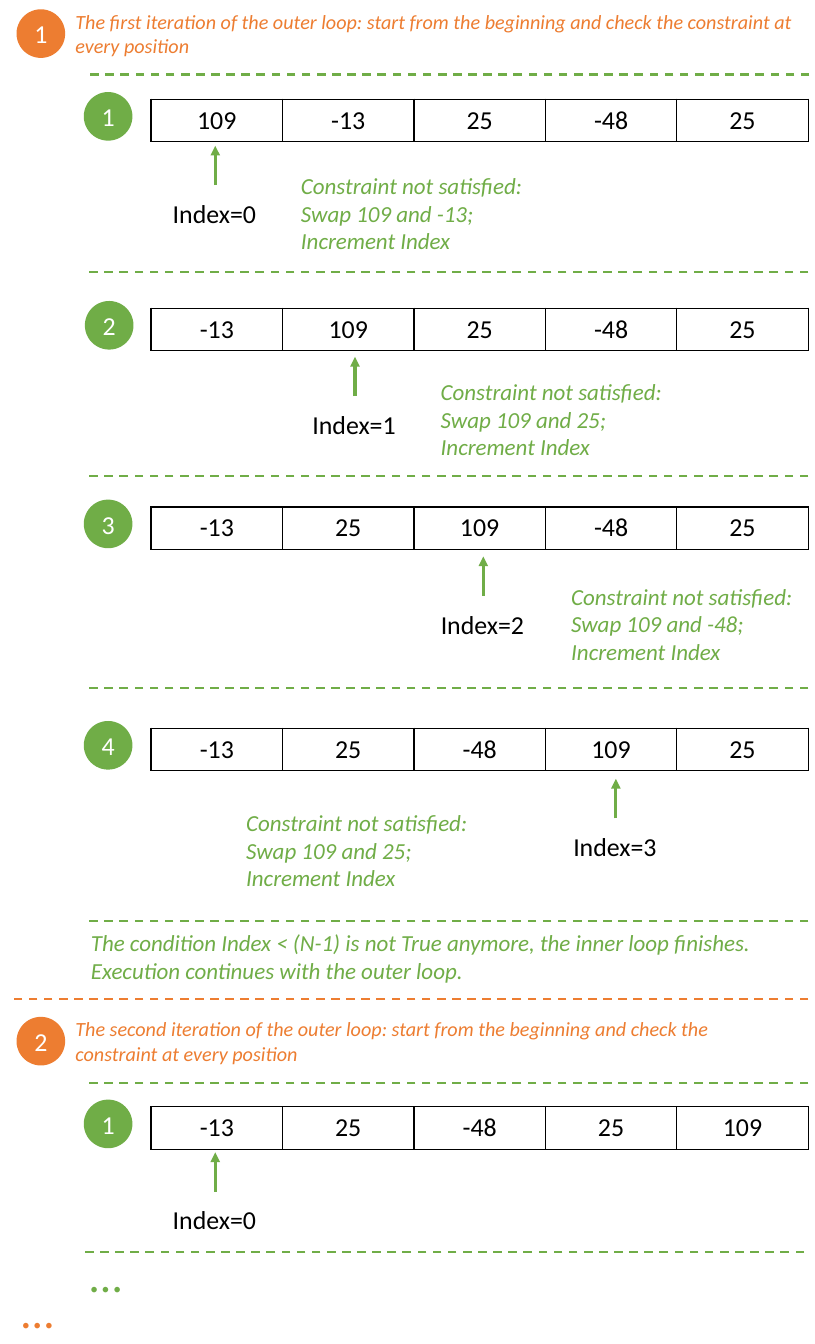
from pptx import Presentation
from pptx.dml.color import RGBColor
from pptx.enum.dml import MSO_LINE
from pptx.enum.shapes import MSO_CONNECTOR, MSO_SHAPE
from pptx.enum.text import MSO_ANCHOR, PP_ALIGN
from pptx.oxml import parse_xml
from pptx.oxml.ns import nsdecls, qn
from pptx.util import Inches, Pt

GREEN = RGBColor(0x70, 0xAD, 0x47)
ORANGE = RGBColor(0xED, 0x7D, 0x31)
BLACK = RGBColor(0, 0, 0)
WHITE = RGBColor(255, 255, 255)
DASH = MSO_LINE.DASH
STRAIGHT = MSO_CONNECTOR.STRAIGHT
OVAL = MSO_SHAPE.OVAL
MIDDLE = MSO_ANCHOR.MIDDLE
CENTER = PP_ALIGN.CENTER
FONT = "Calibri"

deck = Presentation()
deck.slide_width = Inches(20 / 2.54)
deck.slide_height = Inches(33 / 2.54)
slide = deck.slides.add_slide(deck.slide_layouts[6])
shapes = slide.shapes


def write(frame, text, size, color, italic=False, align=None):
    frame.text = text
    for para in frame.paragraphs:
        para.alignment = align
        for run in para.runs:
            font = run.font
            font.name, font.size, font.italic = FONT, Pt(size), italic
            font.color.rgb = color


def rule(x1, y1, x2, y2, color, width):
    line = shapes.add_connector(STRAIGHT, Inches(x1), Inches(y1), Inches(x2), Inches(y2))
    line.line.color.rgb = color
    line.line.width = Pt(width)
    line._element.spPr.append(parse_xml(f"<a:effectLst {nsdecls('a')}/>"))
    return line


swap = "Constraint not satisfied:\nSwap 109 and {};\nIncrement Index"
steps = [
    (0.96, 0.81, "1", [109, -13, 25, -48, 25], 0, 2.08, 1.41),
    (2.98, 0.82, "2", [-13, 109, 25, -48, 25], 1, 3.43, 3.45),
    (4.9, 0.81, "3", [-13, 25, 109, -48, 25], 2, 4.67, 5.38),
    (7.04, 0.81, "4", [-13, 25, -48, 109, 25], 3, 5.95, 7.53),
    (10.7, 0.81, "1", [-13, 25, -48, 25, 109], 0, 2.08, 11.14),
]
badges = [(0.16, 0.09, "1", ORANGE), (0.16, 9.83, "2", ORANGE)]
texts = [
    (0.63, 0.04, 7.18, 0.57, "The first iteration of the outer loop: start from the "
     "beginning and check the constraint at every position", 14, ORANGE, True),
    (0.63, 9.78, 7.09, 0.57, "The second iteration of the outer loop: start from the "
     "beginning and check the constraint at every position", 14, ORANGE, True),
    (2.81, 1.61, 2.37, 0.91, swap.format(-13), 16, GREEN, True),
    (4.16, 3.6, 3.87, 0.91, swap.format(25), 16, GREEN, True),
    (5.42, 5.58, 2.39, 0.91, swap.format(-48), 16, GREEN, True),
    (2.28, 7.77, 2.39, 0.91, swap.format(25), 16, GREEN, True),
    (0.78, 8.93, 6.76, 0.64, "The condition Index < (N-1) is not True anymore, the inner "
     "loop finishes.\nExecution continues with the outer loop.", 16, GREEN, True),
    (0.77, 12, 0.51, 0.64, "…", 32, GREEN, False),
    (0.11, 12.35, 0.51, 0.64, "…", 32, ORANGE, False),
]

for top, left, number, values, index, x, tip in steps:
    grid = shapes.add_table(1, 5, Inches(1.46), Inches(top), Inches(6.35), Inches(0.41))
    table = grid.table
    table.first_row = False
    table.horz_banding = False
    for cell, value in zip(table.rows[0].cells, values):
        write(cell.text_frame, str(value), 18, BLACK, align=CENTER)
        cell.vertical_anchor = MIDDLE
        props = cell._tc.get_or_add_tcPr()
        for side in ("lnL", "lnR", "lnT", "lnB"):
            props.append(parse_xml(
                f'<a:{side} {nsdecls("a")} w="12700"><a:solidFill>'
                f'<a:srgbClr val="{BLACK}"/></a:solidFill></a:{side}>'))
        cell.fill.background()
    arrow = rule(x, tip + 0.38, x, tip, GREEN, 2.25)
    stroke = arrow.line._get_or_add_ln()
    stroke.append(stroke.makeelement(qn("a:tailEnd"), {"type": "triangle"}))
    badges.append((left, top - 0.07, number, GREEN))
    texts.append((x - 0.51, tip + 0.45, 1.02, 0.4, f"Index={index}", 18, BLACK, False))

for left, top, number, color in badges:
    badge = shapes.add_shape(OVAL, Inches(left), Inches(top), Inches(0.47), Inches(0.47))
    badge.shadow.inherit = False
    badge.fill.solid()
    badge.fill.fore_color.rgb = color
    badge.line.fill.background()
    badge.text_frame.vertical_anchor = MIDDLE
    write(badge.text_frame, number, 18, WHITE, align=CENTER)

for left, top, width, height, text, size, color, italic in texts:
    box = shapes.add_textbox(Inches(left), Inches(top), Inches(width), Inches(height))
    box.text_frame.word_wrap = italic
    write(box.text_frame, text, size, color, italic)

rules = [(7.81, 0.09, 9.66, ORANGE), (7.82, 0.82, 0.72, GREEN), (7.77, 0.78, 12.1, GREEN)]
rules += [(7.81, 0.81, y, GREEN) for y in (2.63, 4.6, 6.65, 8.9, 10.47)]
for right, left, y, color in rules:
    rule(right, y, left, y, color, 1.5).line.dash_style = DASH

deck.save("out.pptx")
